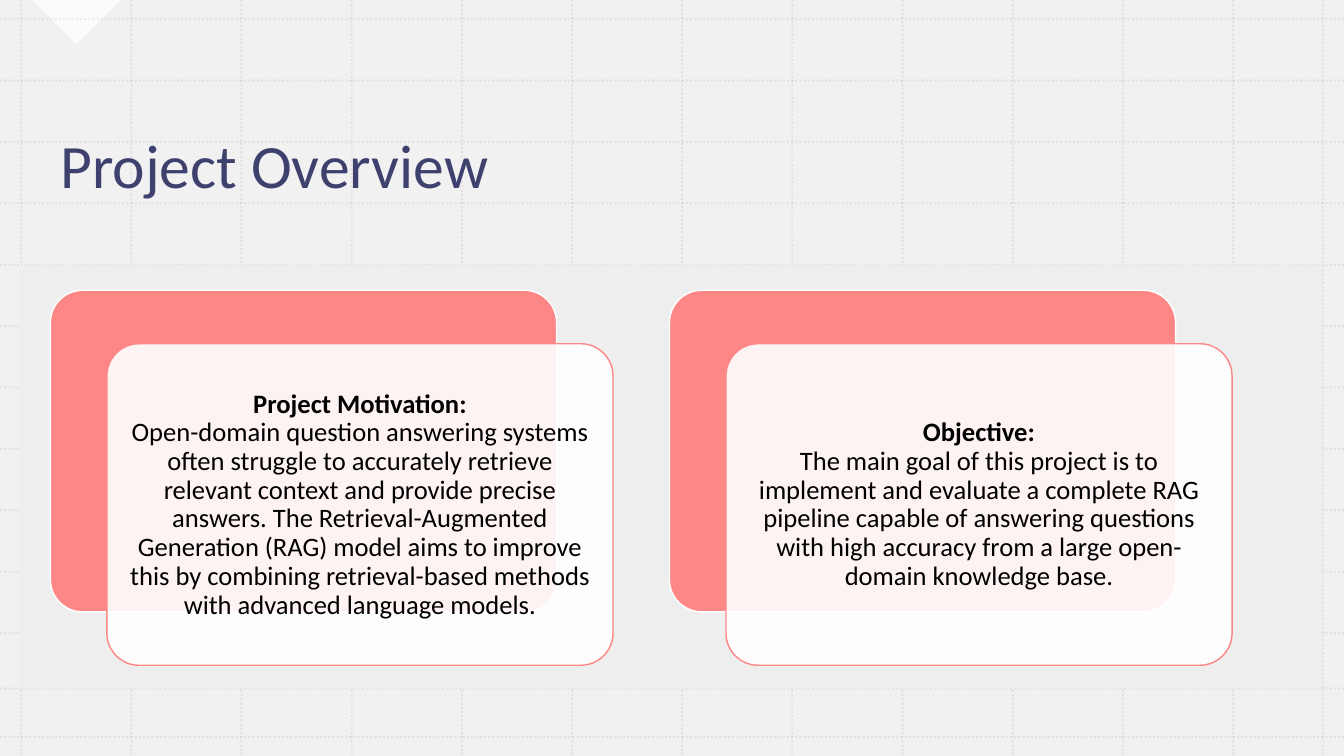
from pptx import Presentation
from pptx.dml.color import RGBColor
from pptx.enum.dml import MSO_LINE
from pptx.enum.shapes import MSO_CONNECTOR, MSO_SHAPE
from pptx.enum.text import MSO_ANCHOR, PP_ALIGN
from pptx.oxml.ns import qn
from pptx.util import Inches, Pt
from lxml.etree import SubElement

COLORS = {
    "background": "F1F1F1",
    "panel": "EEEEEE",
    "white": "FFFFFF",
    "grid": "B495C2",
    "title": "12154E",
    "coral": "FD8686",
    "text": "000000",
}

CARDS = [
    ("Project Motivation:",
     "Open-domain question answering systems often struggle to accurately retrieve "
     "relevant context and provide precise answers. The Retrieval-Augmented Generation "
     "(RAG) model aims to improve this by combining retrieval-based methods with "
     "advanced language models."),
    ("Objective:",
     "The main goal of this project is to implement and evaluate a complete RAG pipeline "
     "capable of answering questions with high accuracy from a large open-domain "
     "knowledge base."),
]


class SlideBuilder:
    font_name = "Calibri"

    def __init__(self, slide):
        self.slide = slide
        self.shapes = slide.shapes

    def color(self, name):
        return RGBColor.from_string(COLORS[name])

    def set_opacity(self, element, percent):
        color_element = next(element.iter(qn("a:srgbClr")))
        SubElement(color_element, qn("a:alpha"), val=str(percent * 1000))

    def background(self, color):
        fill = self.slide.background.fill
        fill.solid()
        fill.fore_color.rgb = self.color(color)

    def shape(self, kind, left, top, width, height, fill, opacity=100, line=None):
        shape = self.shapes.add_shape(
            kind, Inches(left), Inches(top), Inches(width), Inches(height))
        shape.shadow.inherit = False
        shape.fill.solid()
        shape.fill.fore_color.rgb = self.color(fill)
        if opacity < 100:
            self.set_opacity(shape.element.spPr, opacity)
        if line:
            shape.line.color.rgb = self.color(line)
            shape.line.width = Pt(1)
        else:
            shape.line.fill.background()
        return shape

    def grid_line(self, x1, y1, x2, y2):
        connector = self.shapes.add_connector(
            MSO_CONNECTOR.STRAIGHT, Inches(x1), Inches(y1), Inches(x2), Inches(y2))
        connector.line.color.rgb = self.color("grid")
        connector.line.width = Pt(1.5)
        connector.line.dash_style = MSO_LINE.ROUND_DOT
        properties = connector.element.spPr
        self.set_opacity(properties, 20)
        SubElement(properties, qn("a:effectLst"))

    def title(self, text, left, top, width, height):
        title = self.shapes.title
        title.left, title.top = Inches(left), Inches(top)
        title.width, title.height = Inches(width), Inches(height)
        title.element.getparent().append(title.element)
        frame = title.text_frame
        frame.text = text
        frame.vertical_anchor = MSO_ANCHOR.MIDDLE
        paragraph = frame.paragraphs[0]
        self.format_paragraph(paragraph, PP_ALIGN.LEFT, 44, "title")
        self.set_opacity(title.element.txBody, 80)

    def format_paragraph(self, paragraph, alignment, size, color):
        paragraph.alignment = alignment
        paragraph.line_spacing = 0.9
        paragraph.font.name = self.font_name
        paragraph.font.size = Pt(size)
        paragraph.font.color.rgb = self.color(color)

    def card_text(self, heading, body, left, top, width, height):
        text_box = self.shapes.add_textbox(
            Inches(left), Inches(top), Inches(width), Inches(height))
        frame = text_box.text_frame
        frame.word_wrap = True
        frame.vertical_anchor = MSO_ANCHOR.MIDDLE
        frame.margin_left = frame.margin_right = Inches(0.08)
        frame.margin_top = frame.margin_bottom = Inches(0.08)
        paragraph = frame.paragraphs[0]
        self.format_paragraph(paragraph, PP_ALIGN.CENTER, 19, "text")
        heading_run = paragraph.add_run()
        heading_run.text = heading
        heading_run.font.bold = True
        paragraph.add_line_break()
        paragraph.add_run().text = body

    def card(self, left, top, heading, body):
        layers = [(0, 0, "coral", 100, "white"), (0.56, 0.53, "white", 90, "coral")]
        for dx, dy, fill, opacity, line in layers:
            layer = self.shape(MSO_SHAPE.ROUNDED_RECTANGLE, left + dx, top + dy,
                               5.02, 3.19, fill, opacity, line)
            layer.adjustments[0] = 0.1
        self.card_text(heading, body, left + 0.65, top + 0.63, 4.84, 3)


def main():
    presentation = Presentation()
    presentation.slide_width = Inches(13.33)
    presentation.slide_height = Inches(7.5)
    slide = presentation.slides.add_slide(presentation.slide_layouts[5])
    builder = SlideBuilder(slide)

    builder.background("background")
    corner = builder.shape(MSO_SHAPE.RIGHT_TRIANGLE, 0.45, -0.31, 0.62, 0.62, "white", 75)
    corner.rotation = 315

    columns = [0.21 + 12.02 / 11 * index for index in range(12)] + [13.12]
    rows = [0.19 + 6.09 / 10 * index for index in range(11)] + [6.83, 7.31]
    for x in columns:
        builder.grid_line(x, 0, x, 7.5)
    for y in rows:
        builder.grid_line(0, y, 13.33, y)

    builder.title("Project Overview", 0.5, 0.79, 11.75, 1.76)
    builder.shape(MSO_SHAPE.RECTANGLE, 0.2, 2.63, 12.91, 4.2, "panel")
    for index, (heading, body) in enumerate(CARDS):
        builder.card(0.5 + 6.14 * index, 2.88, heading, body)

    presentation.save("out.pptx")


if __name__ == "__main__":
    main()
